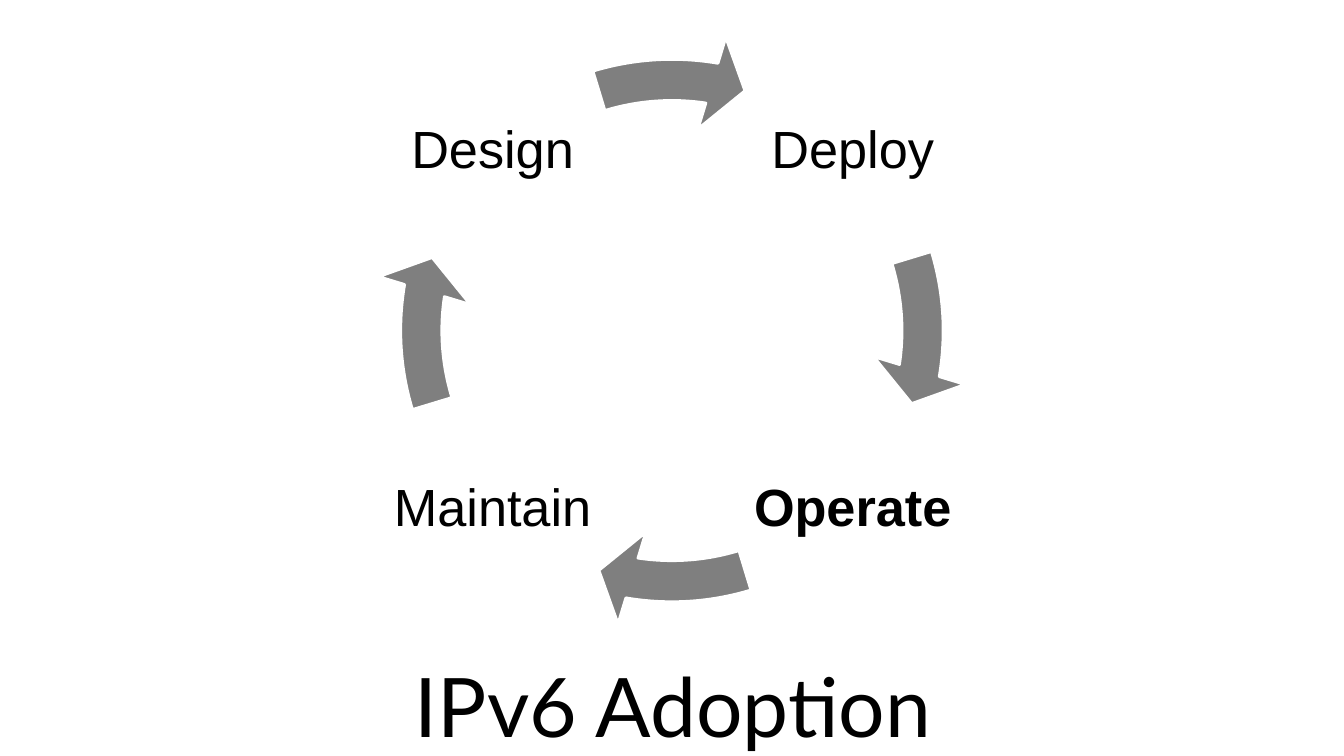
from dataclasses import dataclass
from pptx import Presentation
from pptx.dml.color import RGBColor
from pptx.enum.shapes import MSO_SHAPE
from pptx.enum.text import MSO_ANCHOR, MSO_AUTO_SIZE, PP_ALIGN
from pptx.util import Inches, Pt

TITLE = "IPv6 Adoption"
STEPS = [  # clockwise from top right: text, column, row, bold
    ("Deploy", 1, 0, False),
    ("Operate", 1, 1, True),
    ("Maintain", 0, 1, False),
    ("Design", 0, 0, False),
]


@dataclass(frozen=True)
class Theme:
    ink: RGBColor = RGBColor(0, 0, 0)
    arrow: RGBColor = RGBColor(0x7F, 0x7F, 0x7F)
    edge: RGBColor = RGBColor(0xFF, 0xFF, 0xFF)
    head: str = "Lato"
    body: str = "Arial"
    big: int = 44
    mid: int = 28


THEME = Theme()
WIDTH = 10
HEIGHT = WIDTH * 9 / 16
LEFT, TOP, BOX = 2.88, 0.34, 1.57
COL, ROW = 2.68, 2.67
RING = (2.78, 0.24, 4.44, 4.44)
# Arrow angles are in units of 100000 / 60000 degrees.
TURN = 216
TIP, TAIL = 5.51, 205.84


def place(left, top, width, height):
    return [Inches(v) for v in (left, top, width, height)]


def write(shape, text, *, font=THEME.body, size=THEME.mid, bold=False,
          anchor=MSO_ANCHOR.MIDDLE, inset=0.04, space=0.9,
          fit=MSO_AUTO_SIZE.NONE):
    frame = shape.text_frame
    frame.word_wrap = True
    frame.auto_size = fit
    frame.vertical_anchor = anchor
    if inset is not None:
        frame.margin_left = frame.margin_right = Inches(inset)
        frame.margin_top = frame.margin_bottom = Inches(inset)
    para = frame.paragraphs[0]
    para.alignment = PP_ALIGN.CENTER
    para.line_spacing = space
    run = para.add_run()
    run.text = text
    run.font.name = font
    run.font.size = Pt(size)
    run.font.bold = bold
    run.font.color.rgb = THEME.ink


def add_arrow(shapes, turn):
    arrow = shapes.add_shape(MSO_SHAPE.CIRCULAR_ARROW, *place(*RING))
    arrow.shadow.inherit = False
    arrow.fill.solid()
    arrow.fill.fore_color.rgb = THEME.arrow
    arrow.line.color.rgb = THEME.edge
    arrow.line.width = Pt(1.5)
    values = (0.069, 4.65, TIP + turn, (TAIL + turn) % TURN, 0.08)
    for i, value in enumerate(values):
        arrow.adjustments[i] = value


def main():
    deck = Presentation()
    deck.slide_width, deck.slide_height = Inches(WIDTH), Inches(HEIGHT)
    slide = deck.slides.add_slide(deck.slide_layouts[5])

    title = slide.shapes.title
    title.left, title.top, title.width, title.height = place(1.49, 4.83, 7.04, 0.84)
    write(title, TITLE, font=THEME.head, size=THEME.big, anchor=MSO_ANCHOR.TOP,
          inset=None, space=1.0, fit=MSO_AUTO_SIZE.SHAPE_TO_FIT_TEXT)

    cycle = slide.shapes.add_group_shape().shapes
    for i, (text, col, row, bold) in enumerate(STEPS):
        spot = place(LEFT + col * COL, TOP + row * ROW, BOX, BOX)
        write(cycle.add_textbox(*spot), text, bold=bold)
        add_arrow(cycle, i * TURN / len(STEPS))

    deck.save("out.pptx")


if __name__ == "__main__":
    main()
